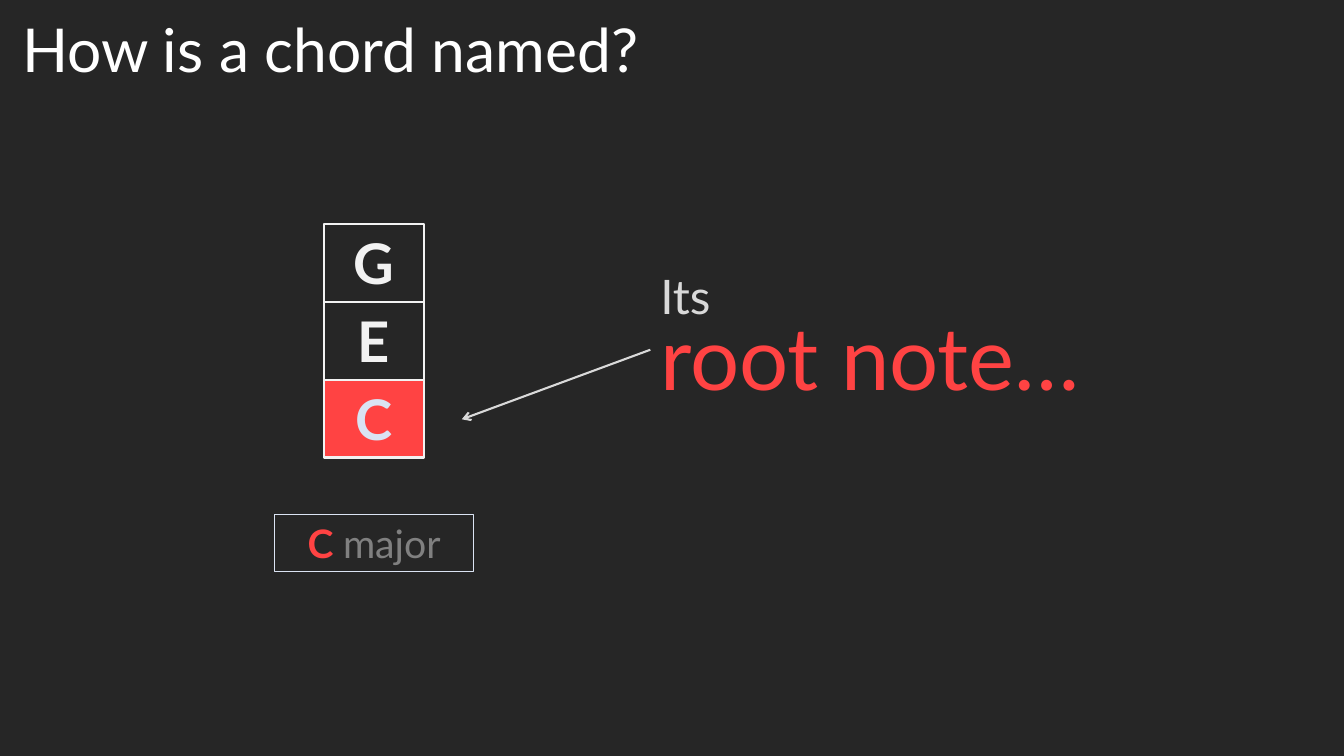
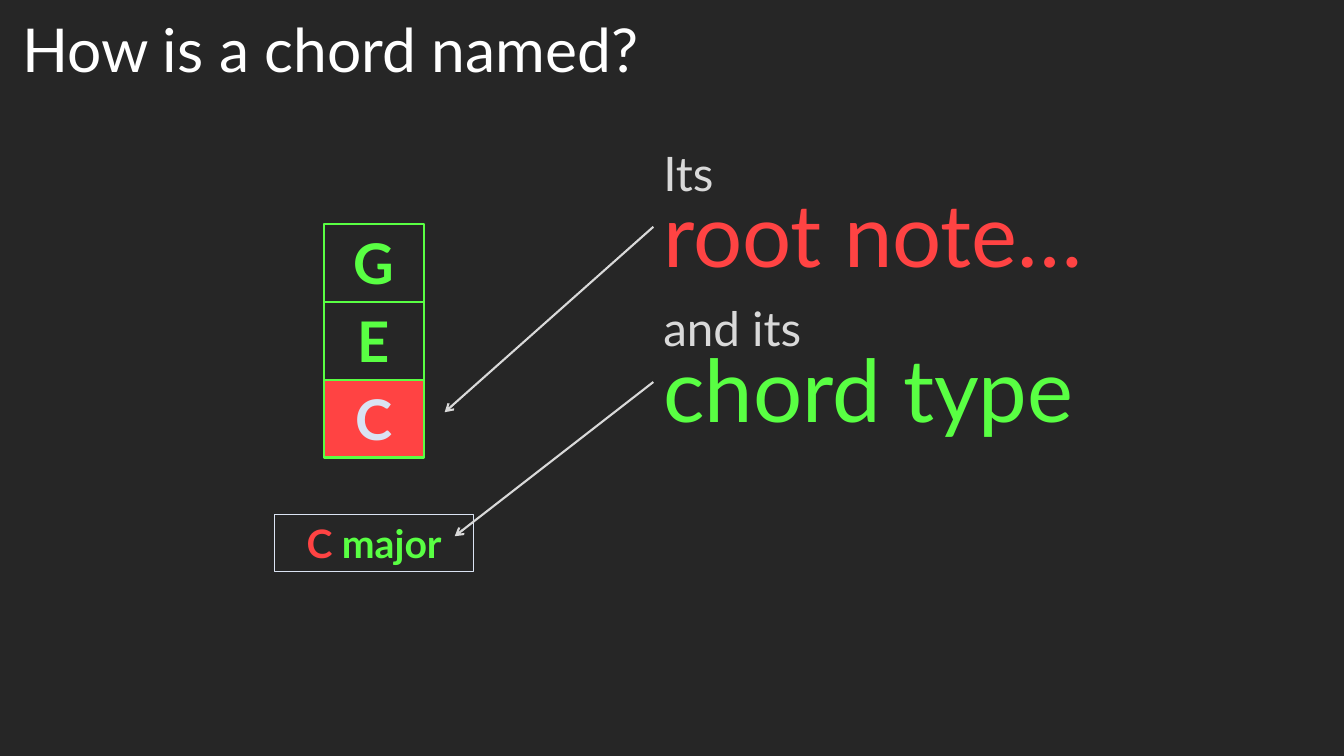
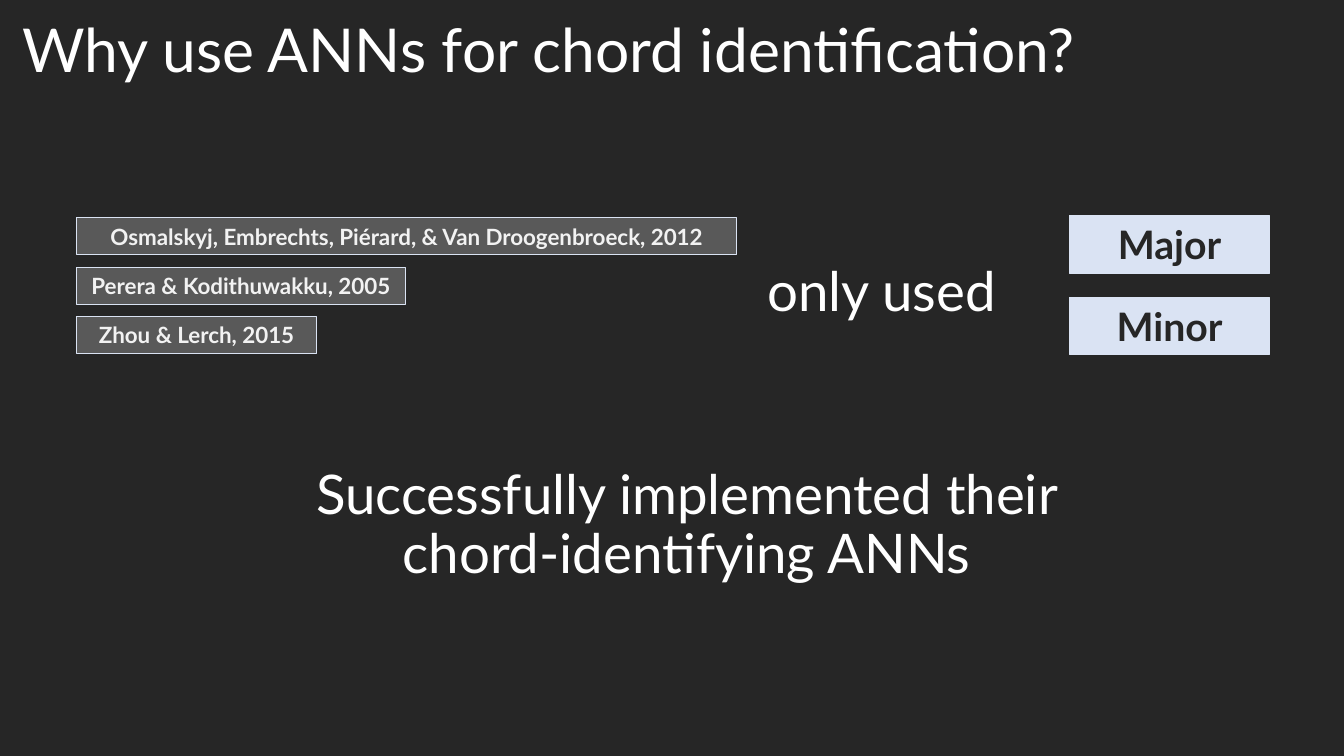
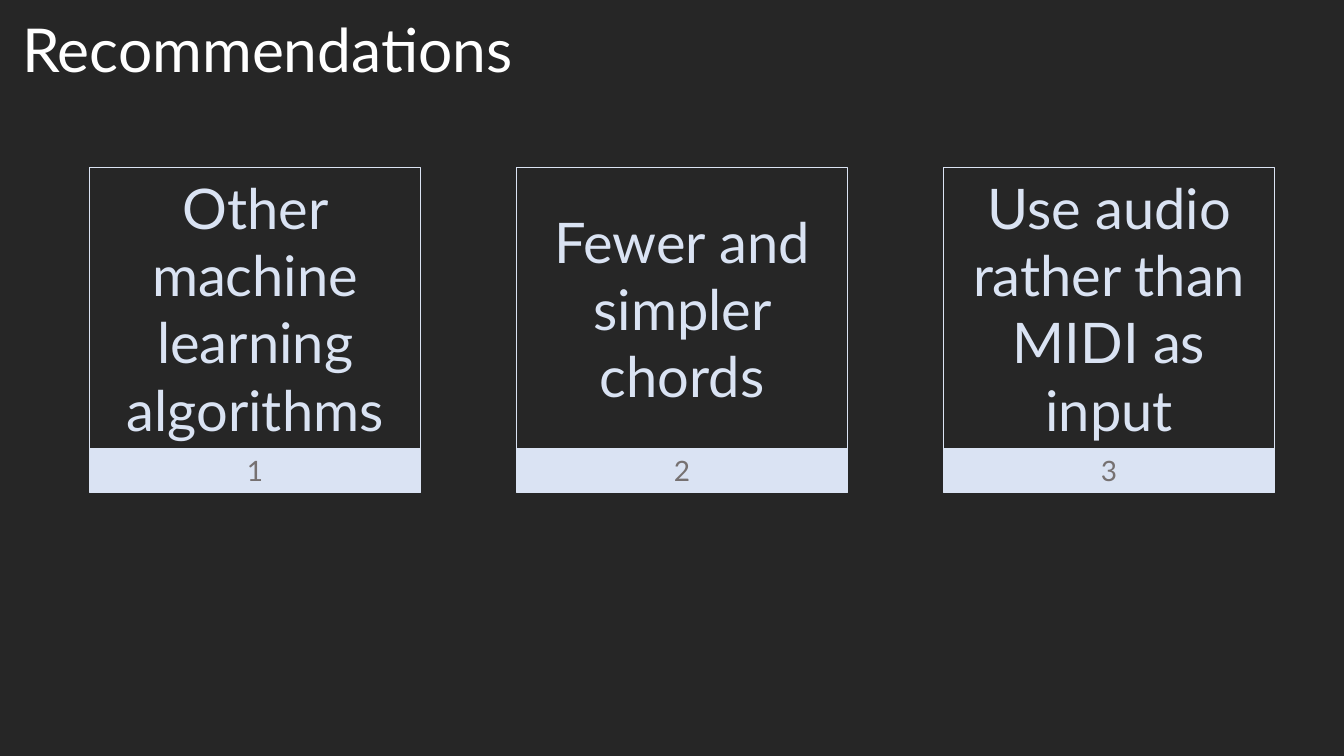
import pptx
import pptx.util
import pptx.dml.color
import pptx.oxml.ns
import pptx.enum.shapes
import pptx.enum.text
import lxml.etree

Inches, Pt = pptx.util.Inches, pptx.util.Pt
ALIGN = pptx.enum.text.PP_ALIGN
ANCHOR = pptx.enum.text.MSO_ANCHOR

FONT = "Lato"
COLORS = {
    "background": "262626",
    "title": "FFFFFF",
    "soft": "D9D9D9",
    "note": "F2F2F2",
    "pale": "DAE3F3",
    "root": "FF4343",
    "type": "59FF43",
    "muted": "808080",
    "citation": "595959",
    "number": "767171",
}


def rgb(name):
    return pptx.dml.color.RGBColor.from_string(COLORS[name])


def write(frame, text, *, size=18, color="title", bold=False, align=ALIGN.LEFT,
          anchor=ANCHOR.TOP, spacing=None, before=0):
    """Fill a frame; text is a string or a list of (text, overrides) runs."""
    frame.word_wrap = True
    frame.vertical_anchor = anchor
    paragraph = frame.paragraphs[0]
    paragraph.alignment = align
    paragraph.space_before = Pt(before)
    if spacing:
        paragraph.line_spacing = spacing
    for words, own in ([(text, {})] if isinstance(text, str) else text):
        run = paragraph.add_run()
        run.text = words.rstrip("\n")
        run.font.name = FONT
        run.font.size = Pt(own.get("size", size))
        run.font.bold = own.get("bold", bold)
        run.font.color.rgb = rgb(own.get("color", color))
        if words.endswith("\n"):
            paragraph.add_line_break()


def add_words(slide, box, text, **style):
    words = slide.shapes.add_textbox(*map(Inches, box))
    write(words.text_frame, text, **style)


def add_box(slide, box, text, *, fill=None, line="pale", weight=0.75, **style):
    cell = slide.shapes.add_shape(
        pptx.enum.shapes.MSO_SHAPE.RECTANGLE, *map(Inches, box))
    cell.shadow.inherit = False
    if fill:
        cell.fill.solid()
        cell.fill.fore_color.rgb = rgb(fill)
    else:
        cell.fill.background()
    cell.line.color.rgb = rgb(line)
    cell.line.width = Pt(weight)
    write(cell.text_frame, text, align=ALIGN.CENTER, **style)


def add_arrow(slide, start, end):
    arrow = slide.shapes.add_connector(
        pptx.enum.shapes.MSO_CONNECTOR.STRAIGHT, *map(Inches, start + end))
    arrow.line.color.rgb = rgb("soft")
    arrow.line.width = Pt(1.5)
    qn = pptx.oxml.ns.qn
    lxml.etree.SubElement(arrow.line._get_or_add_ln(), qn("a:tailEnd"), type="arrow")
    lxml.etree.SubElement(arrow._element.spPr, qn("a:effectLst"))


def add_titled_slide(deck, title):
    slide = deck.slides.add_slide(deck.slide_layouts[6])
    add_words(slide, (0.12, 0.1, 12.18, 0.8), title, size=43.2,
              anchor=ANCHOR.BOTTOM, spacing=0.9)
    return slide


# Chord naming: stacked notes, chord name, callouts
def add_chord(slide, box, accent, type_run):
    left, top, width, height = box
    note_height = height / 3
    for row, note in enumerate("GEC"):
        is_root = note == "C"
        add_box(slide, (left, top + row * note_height, width, note_height), note,
                fill="root" if is_root else None, line=accent, weight=1.5,
                size=40, bold=True, color="pale" if is_root else accent)
    name_width = 1.98
    name_left = left + (width - name_width) / 2
    add_box(slide, (name_left, top + height + 0.56, name_width, 0.57),
            [("C ", {"color": "root", "bold": True}), ("major", type_run)], size=28)


def add_callout(slide, box, lead, term, color, target):
    left, top, width, height = box
    add_words(slide, box, [(lead + "\n", {"size": 34, "color": "soft"}),
                           (term, {"size": 62, "color": color})],
              spacing=0.8, before=10)
    add_arrow(slide, (left, top + height / 2), target)


def build_chord_slide(deck, accent, type_run, callouts):
    slide = add_titled_slide(deck, "How is a chord named?")
    add_chord(slide, (3.21, 2.22, 1, 2.32), accent, type_run)
    for (left, top), *content in callouts:
        add_callout(slide, (left, top, 5.29, 1.52), *content)


# Earlier research: citations, chord types, outcome
def add_citations(slide, left, top):
    citations = [
        ("Osmalskyj, Embrechts, Piérard, & Van Droogenbroeck, 2012", 6.55),
        ("Perera & Kodithuwakku, 2005", 3.26),
        ("Zhou & Lerch, 2015", 2.38),
    ]
    for row, (citation, width) in enumerate(citations):
        add_box(slide, (left, top + row * 0.49, width, 0.37), citation,
                fill="citation", size=16, bold=True, color="note")


def add_chord_types(slide, left, top):
    for row, chord_type in enumerate(["Major", "Minor"]):
        add_box(slide, (left, top + row * 0.81, 1.98, 0.57), chord_type,
                fill="pale", size=28, bold=True, color="background")


def build_research_slide(deck):
    slide = add_titled_slide(deck, "Why use ANNs for chord identification?")
    statement = {"size": 39, "anchor": ANCHOR.BOTTOM, "spacing": 0.9}
    add_citations(slide, 0.76, 2.16)
    add_words(slide, (7.51, 2.46, 3.1, 0.8), "only used", **statement)
    add_chord_types(slide, 10.61, 2.14)
    add_words(slide, (2.83, 4.26, 7.96, 1.6),
              "Successfully implemented their chord-identifying ANNs",
              align=ALIGN.CENTER, **statement)


# Recommendations: equal cards, each with a numbered band
def add_card(slide, box, number, advice):
    left, top, width, height = box
    band = 0.44
    add_box(slide, (left, top, width, height - band), advice,
            size=40, color="pale", anchor=ANCHOR.MIDDLE)
    add_box(slide, (left, top + height - band, width, band), str(number),
            fill="pale", size=20, color="number")


def build_recommendations_slide(deck):
    slide = add_titled_slide(deck, "Recommendations")
    recommendations = ["Other machine learning algorithms",
                       "Fewer and simpler chords",
                       "Use audio rather than MIDI as input"]
    left, top, width, height = 0.89, 1.66, 11.75, 3.23
    card_width = 3.28
    pitch = (width - card_width) / (len(recommendations) - 1)
    for index, advice in enumerate(recommendations):
        add_card(slide, (left + index * pitch, top, card_width, height),
                 index + 1, advice)


deck = pptx.Presentation()
deck.slide_width, deck.slide_height = Inches(13.33), Inches(7.5)
backdrop = deck.slide_master.background.fill
backdrop.solid()
backdrop.fore_color.rgb = rgb("background")

build_chord_slide(deck, "note", {"color": "muted"}, [
    ((6.45, 2.71), "Its", "root note…", "root", (4.58, 4.16)),
])
build_chord_slide(deck, "type", {"color": "type", "bold": True}, [
    ((6.48, 1.49), "Its", "root note…", "root", (4.41, 4.09)),
    ((6.48, 3.03), "and its", "chord type", "type", (4.51, 5.32)),
])
build_research_slide(deck)
build_recommendations_slide(deck)
deck.save("out.pptx")
